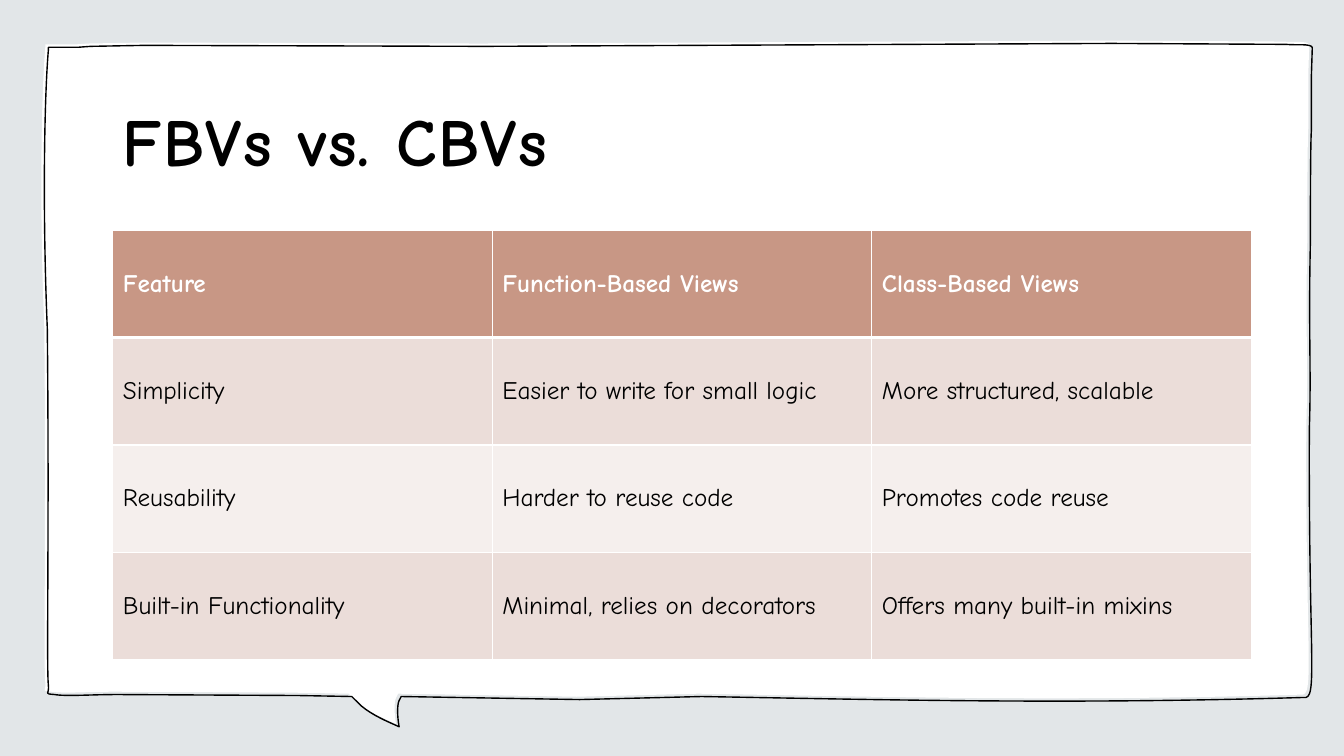
from pptx import Presentation
from pptx.dml.color import RGBColor
from pptx.enum.text import MSO_ANCHOR, PP_ALIGN
from pptx.oxml.xmlchemy import OxmlElement
from pptx.util import Pt

FONT = "Comic Neue"

# Two numbers are a straight step; six are a Bezier curve.
BUBBLE_START = (794, 31)
BUBBLE_STEPS = [
    (918.7, 31.7),
    (926, 32.4, 936, 31, 937.4, 33.8),
    (936.7, 55.4),
    (936.7, 67.7, 936.7, 81.4, 936.7, 93.6),
    (936, 102.2, 936, 169.2, 936, 174.2),
    (934.6, 237.6, 936.7, 262.8, 935.3, 306),
    (934.6, 472.3, 941.8, 500.4, 931, 498.2),
    (760.3, 503.3, 627.8, 499.7, 501.1, 497.5),
    (414, 499.7),
    (286.6, 497.5),
    (285.1, 500.4),
    (283.7, 503.3, 283.7, 511.2, 285.1, 519.1),
    (277.2, 515.5, 266.4, 511.2, 257.8, 504),
    (251.3, 497.5),
    (213.1, 496.8),
    (84.2, 496.1),
    (64.8, 496.1, 47.5, 497.5, 38.9, 496.1),
    (31, 495.4, 35.3, 496.1, 34.6, 489.6),
    (33.1, 478.8, 35.3, 375.8, 33.8, 234.7),
    (30.2, 149, 31.7, 69.1, 34.6, 35.3),
    (34.6, 33.8, 34.6, 33.8, 34.6, 33.8),
    (38.9, 33.8),
    (55.4, 33.8),
    (64.8, 33.1),
    (103, 32.4),
    (345.6, 33.1),
    BUBBLE_START,
]

COMPARISON = [
    ("Feature", "Function-Based Views", "Class-Based Views"),
    ("Simplicity", "Easier to write for small logic", "More structured, scalable"),
    ("Reusability", "Harder to reuse code", "Promotes code reuse"),
    ("Built-in Functionality", "Minimal, relies on decorators", "Offers many built-in mixins"),
]
ROW_FILLS = ["C89785", "EBDDD9", "F5EFED", "EBDDD9"]


def rgb(color):
    return RGBColor.from_string(color)


def add_border(cell, side, width):
    """Add a white line to one side (L, R, T or B); call in that order, before filling."""
    border = OxmlElement(f"a:ln{side}")
    border.set("w", str(Pt(width)))
    fill = OxmlElement("a:solidFill")
    white = OxmlElement("a:srgbClr")
    white.set("val", "FFFFFF")
    fill.append(white)
    border.append(fill)
    cell._tc.get_or_add_tcPr().append(border)


presentation = Presentation()
presentation.slide_width = Pt(960)
presentation.slide_height = Pt(540)
slide = presentation.slides.add_slide(presentation.slide_layouts[5])
slide.background.fill.solid()
slide.background.fill.fore_color.rgb = rgb("E2E6E8")

# Speech bubble: white paper, with its ink outline slightly offset
corners = [step[-2:] for step in BUBBLE_STEPS]
bubble_left = min(x for x, y in corners)
bubble_top = min(y for x, y in corners)
outline = slide.shapes.build_freeform(Pt(BUBBLE_START[0]), Pt(BUBBLE_START[1]))
outline.add_line_segments([(Pt(x), Pt(y)) for x, y in corners], close=True)
paper = outline.convert_to_shape(Pt(-2.2), Pt(-2))
ink = outline.convert_to_shape()

for bubble in (paper, ink):
    bubble.shadow.inherit = False
    # Bend the curved steps, which the builder draws straight
    for step, straight in zip(BUBBLE_STEPS, bubble._element.xpath(".//a:lnTo")):
        if len(step) == 2:
            continue
        curve = OxmlElement("a:cubicBezTo")
        for x, y in zip(step[::2], step[1::2]):
            point = OxmlElement("a:pt")
            point.set("x", str(Pt(x - bubble_left)))
            point.set("y", str(Pt(y - bubble_top)))
            curve.append(point)
        straight.getparent().replace(straight, curve)

paper.fill.solid()
paper.fill.fore_color.rgb = rgb("FFFFFF")
paper.line.fill.background()
ink.fill.background()
ink.line.color.rgb = rgb("000000")
ink.line.width = Pt(1)

# Title, brought in front of the bubble
title = slide.shapes.title
slide.shapes._spTree.append(title._element)
title.left, title.top, title.width, title.height = Pt(80.6), Pt(43.9), Pt(813.6), Pt(111.6)
title.text_frame.text = "FBVs vs. CBVs"
title.text_frame.vertical_anchor = MSO_ANCHOR.MIDDLE
heading = title.text_frame.paragraphs[0]
heading.alignment = PP_ALIGN.LEFT
heading_run = heading.runs[0]
heading_run.font.name = FONT
heading_run.font.size = Pt(48)
heading_run.font.bold = True
heading_run.font.color.rgb = rgb("000000")
heading_run.font._element.set("spc", "100")

# Comparison table
comparison = slide.shapes.add_table(
    len(COMPARISON), len(COMPARISON[0]), Pt(80.6), Pt(164.5), Pt(813.3), Pt(306.8)
).table
for r, (texts, row_fill) in enumerate(zip(COMPARISON, ROW_FILLS)):
    is_header = r == 0
    for c, text in enumerate(texts):
        cell = comparison.cell(r, c)
        cell.vertical_anchor = MSO_ANCHOR.MIDDLE
        add_border(cell, "L", 1)
        add_border(cell, "R", 1)
        add_border(cell, "T", 3 if r == 1 else 1)
        add_border(cell, "B", 3 if is_header else 1)
        cell.fill.solid()
        cell.fill.fore_color.rgb = rgb(row_fill)
        cell.text_frame.text = text
        font = cell.text_frame.paragraphs[0].runs[0].font
        font.name = FONT
        font.size = Pt(18)
        font.bold = is_header
        font.color.rgb = rgb("FFFFFF" if is_header else "000000")

presentation.save("out.pptx")
